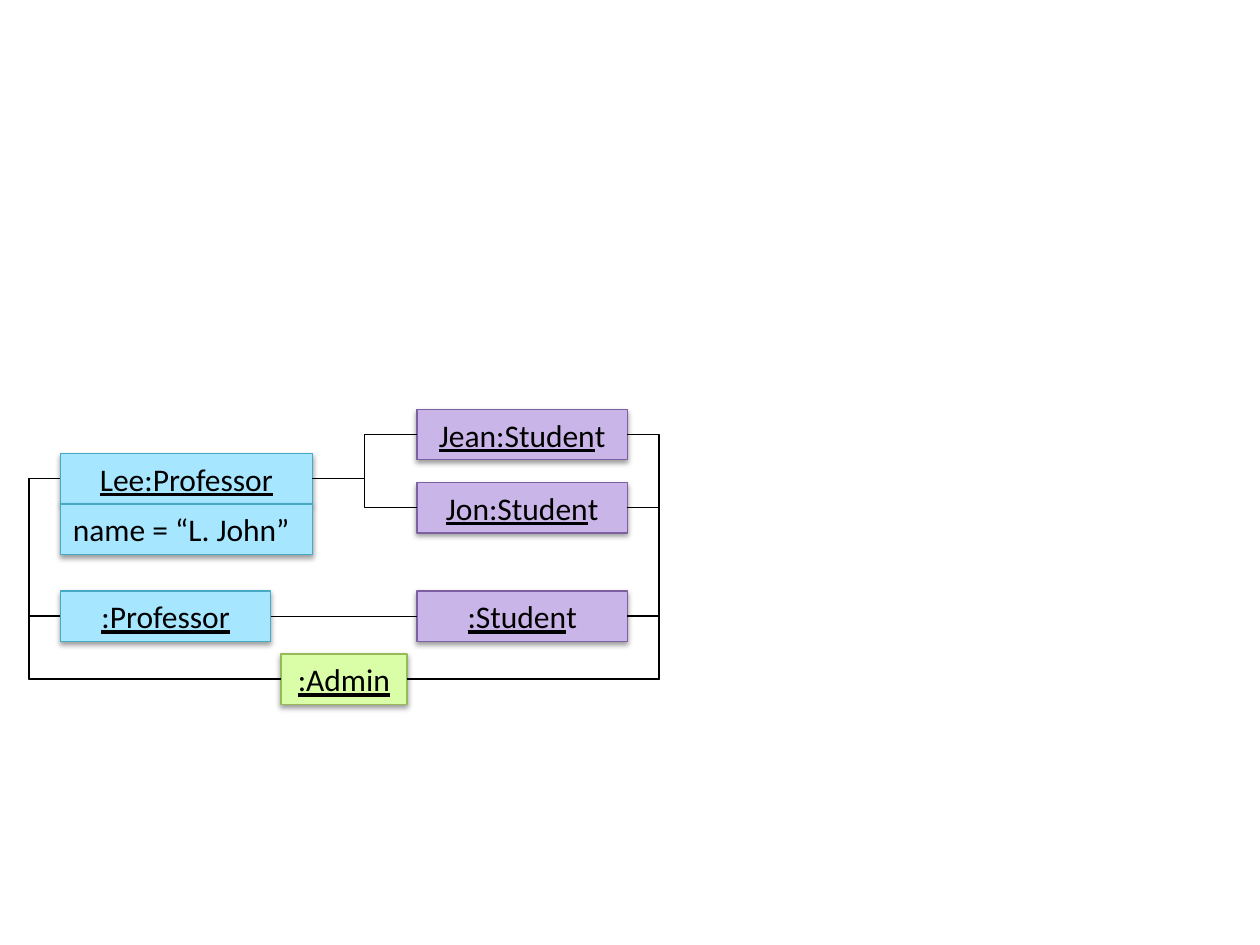
from lxml import etree
from pptx import Presentation
from pptx.dml.color import RGBColor
from pptx.enum import shapes, text
from pptx.oxml import parse_xml
from pptx.oxml.ns import nsdecls, qn
from pptx.util import Inches, Pt

BLACK = RGBColor(0x00, 0x00, 0x00)
# (fill, line) for each class
PROFESSOR = RGBColor(0xA7, 0xE6, 0xFF), RGBColor(0x46, 0xAA, 0xC5)
STUDENT = RGBColor(0xC9, 0xB5, 0xE8), RGBColor(0x7D, 0x60, 0xA0)
ADMIN = RGBColor(0xDA, 0xFD, 0xA7), RGBColor(0x98, 0xB9, 0x55)

LEFT_COL, RIGHT_COL = 0.48, 3.31
BOX_W, WIDE_W, BOX_H = 1.67, 2, 0.4
LEFT_SITE, RIGHT_SITE = 1, 3
OUTER_BEND = 1.143

SHADOW = (
    f'<a:outerShdw {nsdecls("a")} blurRad="40000" dist="20000" dir="5400000" '
    'rotWithShape="0"><a:srgbClr val="000000"><a:alpha val="38000"/>'
    '</a:srgbClr></a:outerShdw>'
)


def add_box(slide, x, y, w, colors, runs, align=text.PP_ALIGN.CENTER):
    """Add a shadowed box; runs is a list of (text, underlined)."""
    sp = slide.shapes.add_shape(shapes.MSO_SHAPE.RECTANGLE, Inches(x), Inches(y),
                                Inches(w), Inches(BOX_H))
    fill, line = colors
    sp.fill.solid()
    sp.fill.fore_color.rgb = fill
    sp.line.color.rgb = line
    sp.line.width = Pt(0.75)
    sp.shadow.inherit = False
    sp._element.spPr.find(qn("a:effectLst")).append(parse_xml(SHADOW))

    tf = sp.text_frame
    tf.word_wrap = True
    tf.auto_size = text.MSO_AUTO_SIZE.SHAPE_TO_FIT_TEXT
    tf.vertical_anchor = text.MSO_ANCHOR.MIDDLE
    p = tf.paragraphs[0]
    p.alignment = align
    for words, underlined in runs:
        r = p.add_run()
        r.text = words
        r.font.name = "Calibri"
        r.font.size = Pt(18)
        r.font.color.rgb = BLACK
        r.font.underline = underlined
    return sp


def add_student(slide, y, name):
    return add_box(slide, RIGHT_COL, y, BOX_W, STUDENT,
                   [(f"{name}:Studen", True), ("t", False)])


def link(slide, start, start_site, end, end_site, bend=0.5):
    """Join two boxes by an elbow that turns at the given share of its width."""
    cxn = slide.shapes.add_connector(shapes.MSO_CONNECTOR.ELBOW, 0, 0, 0, 0)
    cxn.begin_connect(start, start_site)
    cxn.end_connect(end, end_site)
    cxn.line.color.rgb = BLACK
    cxn.line.width = Pt(0.75)
    spPr = cxn._element.spPr
    etree.SubElement(spPr, qn("a:effectLst"))
    guides = spPr.find(qn("a:prstGeom")).get_or_add_avLst()
    etree.SubElement(guides, qn("a:gd"), name="adj1",
                     fmla=f"val {round(bend * 100000)}")


def main():
    prs = Presentation()
    prs.slide_width, prs.slide_height = Inches(10), Inches(7.5)
    slide = prs.slides.add_slide(prs.slide_layouts[6])

    lee = add_box(slide, LEFT_COL, 3.6, WIDE_W, PROFESSOR, [("Lee:Professor", True)])
    add_box(slide, LEFT_COL, 3.6 + BOX_H, WIDE_W, PROFESSOR,
            [("name = “L. John”", False)], text.PP_ALIGN.LEFT)
    professor = add_box(slide, LEFT_COL, 4.69, BOX_W, PROFESSOR, [(":Professor", True)])
    jean = add_student(slide, 3.25, "Jean")
    jon = add_student(slide, 3.83, "Jon")
    student = add_student(slide, 4.69, "")
    admin = add_box(slide, 2.23, 5.19, 1, ADMIN, [(":Admin", True)])

    for teacher, pupil in ((lee, jean), (lee, jon), (professor, student)):
        link(slide, teacher, RIGHT_SITE, pupil, LEFT_SITE)
    for teacher in (professor, lee):
        link(slide, admin, LEFT_SITE, teacher, LEFT_SITE, OUTER_BEND)
    for pupil in (student, jon, jean):
        link(slide, admin, RIGHT_SITE, pupil, RIGHT_SITE, OUTER_BEND)

    prs.save("out.pptx")


if __name__ == "__main__":
    main()
